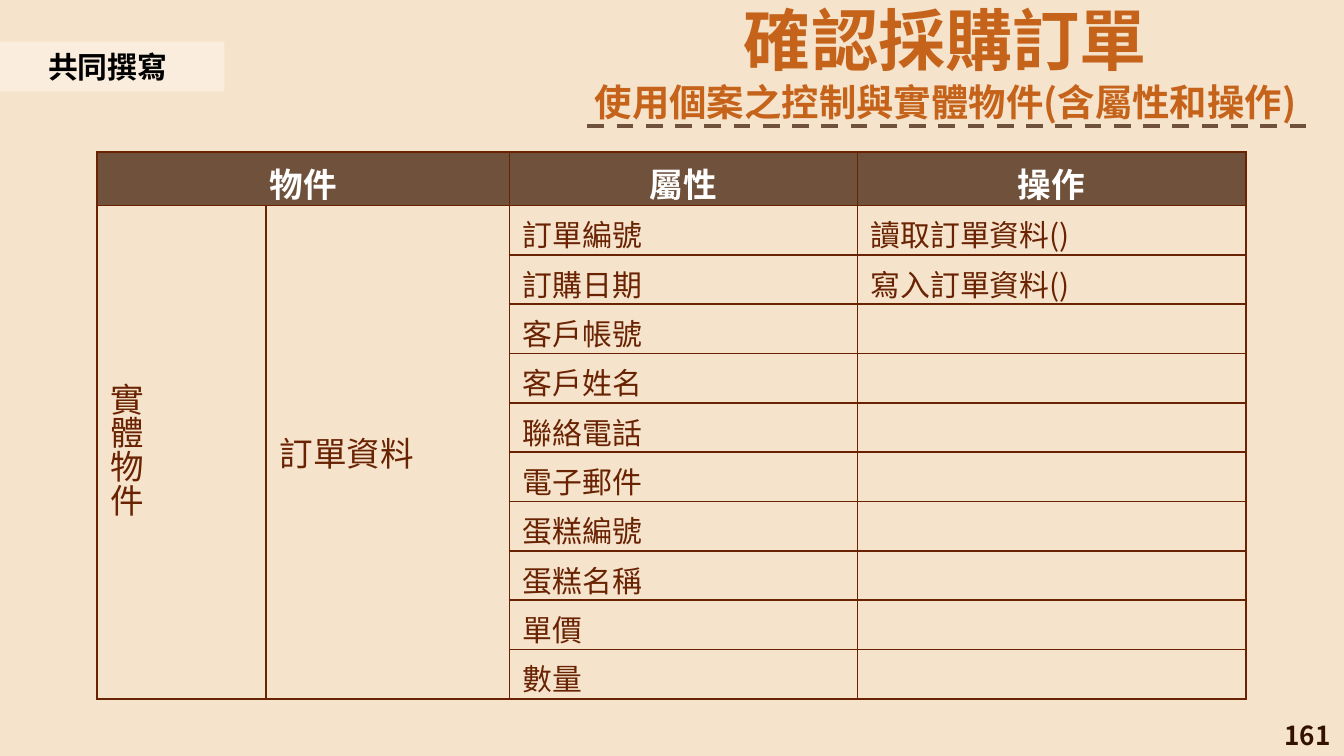
from lxml import etree
from pptx import Presentation
from pptx import util as u
from pptx.dml.color import RGBColor
from pptx.enum import dml, shapes, text
from pptx.oxml.ns import qn

FONT = "Noto Sans CJK SC"
COLORS = {
    "background": "F5E3CC", "title": "C5631B", "brown": "70513B", "label": "FAEDDE",
    "border": "692303", "number": "341202", "black": "000000", "white": "FFFFFF",
}
ALIGN = text.PP_ALIGN
MIDDLE = text.MSO_ANCHOR.MIDDLE


def color(name):
    return RGBColor.from_string(COLORS[name])


def write(paragraph, words, size, color_name, bold=False, align=ALIGN.LEFT):
    paragraph.alignment = align
    run = paragraph.add_run()
    run.text = words
    for key, value in {"name": FONT, "size": u.Pt(size), "bold": bold}.items():
        setattr(run.font, key, value)
    run.font.color.rgb = color(color_name)
    # East Asian glyphs take their typeface from a:ea
    etree.SubElement(run.font._element, qn("a:ea"), typeface=FONT)


presentation = Presentation()
presentation.slide_width = u.Inches(10)
presentation.slide_height = u.Inches(10) * 9 // 16
slide = presentation.slides.add_slide(presentation.slide_layouts[6])
slide.background.fill.solid()
slide.background.fill.fore_color.rgb = color("background")

# Page number
number = slide.shapes.add_textbox(u.Inches(7.75), u.Inches(5.32), u.Inches(2.25), u.Inches(0.3))
number.text_frame.word_wrap = True
number.text_frame.vertical_anchor = MIDDLE
write(number.text_frame.paragraphs[0], "161", 14, "number", True, ALIGN.RIGHT)

# Title with dashed rule
heading = slide.shapes.add_group_shape()
title = heading.shapes.add_textbox(u.Inches(4.08), u.Inches(-0.11), u.Inches(5.91), u.Inches(1.09))
frame = title.text_frame
frame.word_wrap = True
for side in ("left", "top", "right", "bottom"):
    setattr(frame, f"margin_{side}", u.Inches(0.1))
frame.add_paragraph()
title_lines = [("確認採購訂單", 36), ("使用個案之控制與實體物件(含屬性和操作)", 20)]
for paragraph, (words, size) in zip(frame.paragraphs, title_lines):
    write(paragraph, words, size, "title", True, ALIGN.CENTER)

rule = heading.shapes.add_connector(
    shapes.MSO_CONNECTOR.STRAIGHT, u.Inches(4.37), u.Inches(0.94), u.Inches(9.76), u.Inches(0.94))
rule.line.color.rgb = color("brown")
rule.line.width = u.Pt(2.25)
rule.line.dash_style = dml.MSO_LINE.DASH
etree.SubElement(rule._element.spPr, qn("a:effectLst"))

# Label at the left edge
label = slide.shapes.add_group_shape()
band = label.shapes.add_shape(
    shapes.MSO_SHAPE.RECTANGLE, u.Inches(0.65), u.Inches(-0.34), u.Inches(0.37), u.Inches(1.67))
band.rotation = 90
band.shadow.inherit = False
band.fill.solid()
band.fill.fore_color.rgb = color("label")
band.line.fill.background()
caption = label.shapes.add_textbox(u.Inches(0.26), u.Inches(0.31), u.Inches(1.1), u.Inches(0.37))
caption.text_frame.word_wrap = False
caption.text_frame.auto_size = text.MSO_AUTO_SIZE.SHAPE_TO_FIT_TEXT
write(caption.text_frame.paragraphs[0], "共同撰寫", 16, "black", True)

# Table of objects, attributes and operations
attributes = ["訂單編號", "訂購日期", "客戶帳號", "客戶姓名", "聯絡電話",
              "電子郵件", "蛋糕編號", "蛋糕名稱", "單價", "數量"]
operations = ["讀取訂單資料()", "寫入訂單資料()"]
widths = [1.26, 1.81, 2.59, 2.89]
table_height, header_height = 4.07, 0.4
row_height = (table_height - header_height) / len(attributes)
heights = [header_height] + [row_height] * len(attributes)
table = slide.shapes.add_table(
    len(heights), len(widths), u.Inches(0.72), u.Inches(1.13),
    u.Inches(sum(widths)), u.Inches(table_height)).table
for column, width in zip(table.columns, widths):
    column.width = u.Inches(width)
for row, height in zip(table.rows, heights):
    row.height = u.Inches(height)

for row in range(len(heights)):
    for column in range(len(widths)):
        cell = table.cell(row, column)
        cell.margin_top, cell.margin_bottom = u.Inches(0.05), 0
        properties = cell._tc.get_or_add_tcPr()
        for side in ("lnL", "lnR", "lnT", "lnB"):
            border = etree.SubElement(properties, qn(f"a:{side}"), w=str(u.Pt(1)))
            fill = etree.SubElement(border, qn("a:solidFill"))
            etree.SubElement(fill, qn("a:srgbClr"), val=COLORS["border"])
        if row == 0:
            cell.fill.solid()
            cell.fill.fore_color.rgb = color("brown")
        else:
            cell.fill.background()

table.cell(0, 0).merge(table.cell(0, 1))
for column in (0, 1):
    table.cell(1, column).merge(table.cell(len(attributes), column))

for column, words in {0: "物件", 2: "屬性", 3: "操作"}.items():
    cell = table.cell(0, column)
    cell.vertical_anchor = MIDDLE
    write(cell.text_frame.paragraphs[0], words, 18, "white", True, ALIGN.CENTER)
for column, (words, align) in enumerate([("實體物件", ALIGN.CENTER), ("訂單資料", ALIGN.LEFT)]):
    cell = table.cell(1, column)
    cell.vertical_anchor = MIDDLE
    write(cell.text_frame.paragraphs[0], words, 18, "border", align=align)
table.cell(1, 1).margin_bottom = u.Inches(0.05)

# Vertical text in a column one character wide
kind = table.cell(1, 0)
kind._tc.tcPr.set("vert", "eaVert")
kind.margin_right = u.Inches(0.9)
kind.text_frame.paragraphs[0].line_spacing = u.Pt(18)

for column, entries in {2: attributes, 3: operations}.items():
    for row, words in enumerate(entries, start=1):
        write(table.cell(row, column).text_frame.paragraphs[0], words, 16, "border")

presentation.save("out.pptx")
